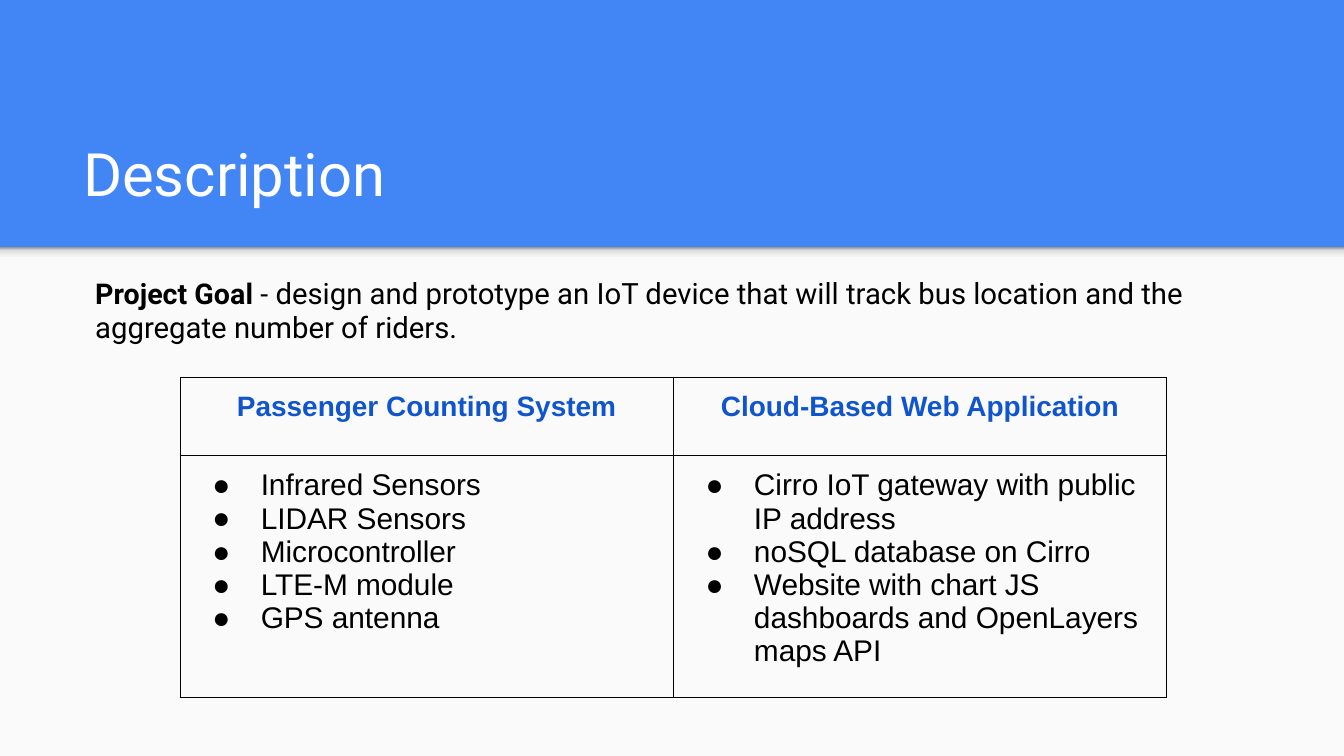
from copy import deepcopy

from lxml.etree import SubElement
from pptx import Presentation
from pptx.dml.color import RGBColor
from pptx.enum.shapes import MSO_SHAPE as Shape
from pptx.enum.text import MSO_ANCHOR as Anchor, PP_ALIGN as Align
from pptx.oxml.ns import qn
from pptx.util import Inches, Pt

BLUE = RGBColor(0x42, 0x85, 0xF4)
HEADING_BLUE = RGBColor(0x11, 0x55, 0xCC)
PAPER = RGBColor(0xFA, 0xFA, 0xFA)
WHITE = RGBColor(0xFF, 0xFF, 0xFF)
BLACK = RGBColor(0x00, 0x00, 0x00)
SHADE_STOPS = [
    (0, RGBColor(0xF9, 0xF9, 0xF9)),
    (0.36, RGBColor(0xF9, 0xF9, 0xF9)),
    (0.8, RGBColor(0xDE, 0xDE, 0xDE)),
    (1, RGBColor(0x99, 0x99, 0x99)),
]
SLIDE_WIDTH = Inches(10)
SLIDE_HEIGHT = SLIDE_WIDTH * 9 // 16
BAND_HEIGHT = Inches(1.84)
INSET = Inches(0.1)

GOAL = [
    ("Project Goal ", 15.3, True),
    ("- ", 15.3, False),
    ("design and prototype an IoT device that will track bus location "
     "and the aggregate number of riders.", 15.7, False),
]
COLUMNS = {
    "Passenger Counting System": [
        "Infrared Sensors",
        "LIDAR Sensors",
        "Microcontroller",
        "LTE-M module",
        "GPS antenna",
    ],
    "Cloud-Based Web Application": [
        "Cirro IoT gateway with public IP address",
        "noSQL database on Cirro",
        "Website with chart JS dashboards and OpenLayers maps API",
    ],
}


def format_run(run, name, size, color, bold=False):
    """Set the font of one run."""
    run.font.name = name
    run.font.size = Pt(size)
    run.font.color.rgb = color
    run.font.bold = bold


def add_panel(slide, height):
    """Add a full-width rectangle below the title band."""
    shape = slide.shapes.add_shape(
        Shape.RECTANGLE, 0, BAND_HEIGHT, SLIDE_WIDTH, height)
    shape.shadow.inherit = False
    shape.line.fill.background()
    return shape


def shade_panel(shape):
    """Fill a panel with the gradient that falls from the title band."""
    shape.fill.gradient()
    shape.fill.gradient_angle = 90
    stop_list = shape.element.spPr.find(".//" + qn("a:gsLst"))
    while len(stop_list) < len(SHADE_STOPS):
        stop_list.append(deepcopy(stop_list[0]))
    for stop, (position, color) in zip(shape.fill.gradient_stops, SHADE_STOPS):
        stop.position = position
        stop.color.rgb = color


def add_text(slide, left, top, width, height, runs, color, anchor=Anchor.TOP):
    """Add a wrapped text box and return its paragraph."""
    box = slide.shapes.add_textbox(
        Inches(left), Inches(top), Inches(width), Inches(height))
    frame = box.text_frame
    frame.word_wrap = True
    frame.vertical_anchor = anchor
    frame.margin_left = frame.margin_right = INSET
    frame.margin_top = frame.margin_bottom = INSET
    paragraph = frame.paragraphs[0]
    for text, size, bold in runs:
        run = paragraph.add_run()
        run.text = text
        format_run(run, "Roboto", size, color, bold)
    return paragraph


def add_bullet(paragraph):
    """Give a paragraph a round black bullet with a hanging indent."""
    properties = paragraph._p.get_or_add_pPr()
    properties.set("marL", str(Inches(0.5)))
    properties.set("indent", str(Inches(-0.36)))
    color = SubElement(properties, qn("a:buClr"))
    SubElement(color, qn("a:srgbClr"), val=str(BLACK))
    SubElement(properties, qn("a:buSzPts"), val="1600")
    SubElement(properties, qn("a:buFont"), typeface="Arial")
    SubElement(properties, qn("a:buChar"), char="●")


def style_cell(cell):
    """Set the margins, thin black borders and empty fill of a cell."""
    cell.margin_left = cell.margin_right = INSET
    cell.margin_top = cell.margin_bottom = INSET
    properties = cell._tc.get_or_add_tcPr()
    for side in ("a:lnL", "a:lnR", "a:lnT", "a:lnB"):
        line = SubElement(properties, qn(side), w=str(Pt(0.75)))
        fill = SubElement(line, qn("a:solidFill"))
        SubElement(fill, qn("a:srgbClr"), val=str(BLACK))
    cell.fill.background()


def fill_header(cell, heading):
    """Write a centred column heading."""
    style_cell(cell)
    cell.text_frame.text = heading
    paragraph = cell.text_frame.paragraphs[0]
    paragraph.alignment = Align.CENTER
    format_run(paragraph.runs[0], "Arial", 15, HEADING_BLUE, True)


def fill_list(cell, items):
    """Write a bulleted list into a cell."""
    style_cell(cell)
    cell.text_frame.text = "\n".join(items)
    for paragraph in cell.text_frame.paragraphs:
        add_bullet(paragraph)
        format_run(paragraph.runs[0], "Arial", 16, BLACK)


def add_component_table(slide):
    """Add the table with one column for each part of the project."""
    table = slide.shapes.add_table(
        2, len(COLUMNS), Inches(1.34), Inches(2.81),
        Inches(7.34), Inches(2.2)).table
    table.first_row = False
    table.horz_banding = False
    table.rows[0].height = Inches(0.58)
    table.rows[1].height = Inches(1.62)
    for index, (heading, items) in enumerate(COLUMNS.items()):
        table.columns[index].width = Inches(3.67)
        fill_header(table.cell(0, index), heading)
        fill_list(table.cell(1, index), items)


def main():
    """Build and save the slide."""
    presentation = Presentation()
    presentation.slide_width = SLIDE_WIDTH
    presentation.slide_height = SLIDE_HEIGHT
    slide = presentation.slides.add_slide(presentation.slide_layouts[6])
    slide.background.fill.solid()
    slide.background.fill.fore_color.rgb = BLUE

    paper = add_panel(slide, SLIDE_HEIGHT - BAND_HEIGHT)
    paper.fill.solid()
    paper.fill.fore_color.rgb = PAPER
    shade_panel(add_panel(slide, Inches(0.12)))

    add_text(slide, 0.52, 0.81, 8.99, 0.84, [("Description", 32, False)],
             WHITE, Anchor.BOTTOM)
    goal = add_text(slide, 0.61, 1.97, 8.81, 0.71, GOAL, BLACK)
    goal.line_spacing = 0.95
    goal.space_after = Pt(12)
    add_component_table(slide)
    presentation.save("out.pptx")


if __name__ == "__main__":
    main()
